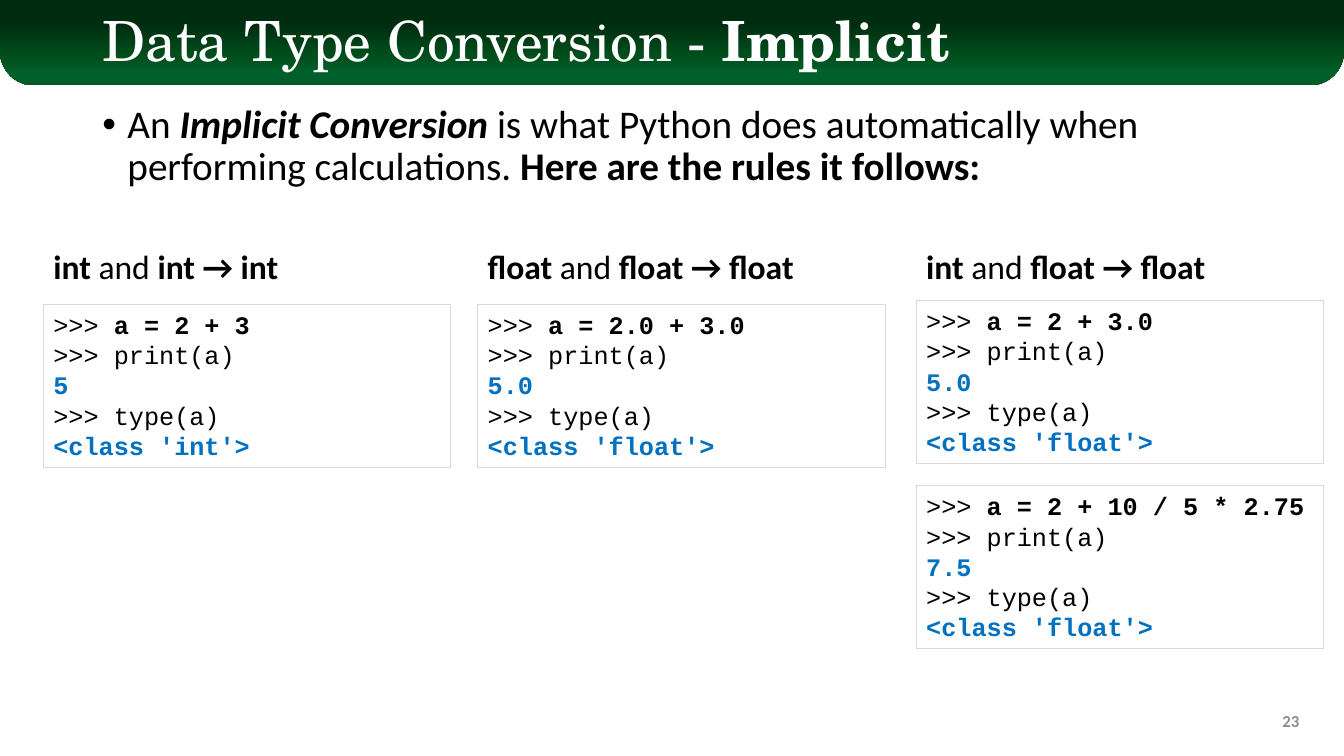
from lxml.etree import SubElement
from pptx import Presentation
from pptx.dml.color import RGBColor
from pptx.enum.shapes import MSO_SHAPE as Shape
from pptx.enum.text import MSO_ANCHOR as Anchor, MSO_AUTO_SIZE as AutoSize, PP_ALIGN as Align
from pptx.oxml.ns import qn
from pptx.util import Pt

COLORS = {"text": "000000", "title": "FFFFFF", "result": "0070C0", "border": "D9D9D9", "number": "8C8C8C"}
BANNER_STOPS = [(28, "002D10"), (68, "00501D"), (85, "00602B"), (100, "005C2B")]
TITLE_FONT, BODY_FONT, CODE_FONT = "TeX Gyre Schola", "Calibri", "Courier New"

TITLE = [("Data Type Conversion - ", ""), ("Implicit", "b")]
INTRO = [
    ("An ", ""),
    ("Implicit Conversion ", "bi"),
    ("is what Python does automatically when performing calculations. ", ""),
    ("Here are the rules it follows:", "b"),
]
PAGE_NUMBER = [("23", "b")]

RULES = [
    {"left": 31, "width": 178.6, "types": ("int", "int", "int"),
     "examples": [(217.4, "a = 2 + 3", "5")]},
    {"left": 341.3, "width": 237.6, "types": ("float", "float", "float"),
     "examples": [(217.4, "a = 2.0 + 3.0", "5.0")]},
    {"left": 654.5, "width": 218.2, "types": ("int", "float", "float"),
     "examples": [(214.6, "a = 2 + 3.0", "5.0"), (347, "a = 2 + 10 / 5 * 2.75", "7.5")]},
]
HEADING_TOP, HEADING_HEIGHT = 172, 36.4
CODE_WIDTH, CODE_HEIGHT = 291, 116.6


def add_runs(paragraph, runs, font, size, color):
    for text, style in runs:
        run = paragraph.add_run()
        run.text = text
        run.font.name, run.font.size = font, Pt(size)
        run.font.bold, run.font.italic = "b" in style, "i" in style
        run.font.color.rgb = RGBColor.from_string(COLORS["result" if "r" in style else color])


def add_text(slide, box, runs, font, size, color="text", anchor=Anchor.TOP, wrap=True):
    frame = slide.shapes.add_textbox(*map(Pt, box)).text_frame
    frame.word_wrap, frame.vertical_anchor = wrap, anchor
    add_runs(frame.paragraphs[0], runs, font, size, color)
    return frame.paragraphs[0]


def add_banner(slide, width):
    banner = slide.shapes.add_shape(Shape.ROUND_2_SAME_RECTANGLE, 0, 0, Pt(width), Pt(61))
    banner.shadow.inherit = False
    banner.adjustments[0], banner.adjustments[1] = 0, 0.4
    banner.line.fill.background()
    banner.fill.gradient()
    banner.fill.gradient_angle = 270
    stops = banner._element.spPr.find(qn("a:gradFill")).find(qn("a:gsLst"))
    for stop in list(stops):
        stops.remove(stop)
    for position, color in BANNER_STOPS:
        stop = SubElement(stops, qn("a:gs"), pos=str(position * 1000))
        SubElement(stop, qn("a:srgbClr"), val=color)


def add_code(slide, left, top, statement, result, result_type):
    box = slide.shapes.add_shape(Shape.RECTANGLE, *map(Pt, (left, top, CODE_WIDTH, CODE_HEIGHT)))
    box.shadow.inherit = False
    box.fill.background()
    box.line.color.rgb = RGBColor.from_string(COLORS["border"])
    box.line.width = Pt(0.75)
    frame = box.text_frame
    frame.word_wrap, frame.vertical_anchor = True, Anchor.TOP
    frame.auto_size = AutoSize.SHAPE_TO_FIT_TEXT
    lines = [
        [(">>> ", ""), (statement, "b")],
        [(">>> print(a)", "")],
        [(result, "br")],
        [(">>> type(a)", "")],
        [(f"<class '{result_type}'>", "br")],
    ]
    for index, runs in enumerate(lines):
        paragraph = frame.add_paragraph() if index else frame.paragraphs[0]
        paragraph.alignment = Align.LEFT
        add_runs(paragraph, runs, CODE_FONT, 18, "text")


def main():
    """Build the slide on implicit type conversion."""
    presentation = Presentation()
    presentation.slide_width, presentation.slide_height = Pt(960), Pt(540)
    slide = presentation.slides.add_slide(presentation.slide_layouts[6])

    add_banner(slide, 960)
    title = add_text(slide, (66, 9.4, 828, 44), TITLE, TITLE_FONT, 39.6, "title", Anchor.MIDDLE)
    title.line_spacing = 0.9

    intro = add_text(slide, (66, 71.3, 828, 72), INTRO, BODY_FONT, 28)
    properties = intro._p.get_or_add_pPr()
    properties.set("marL", str(Pt(18)))
    properties.set("indent", str(-Pt(18)))
    SubElement(properties, qn("a:buFont"), typeface="Arial")
    SubElement(properties, qn("a:buChar"), char="•")
    intro.line_spacing = 0.9

    number = add_text(slide, (719.3, 500.4, 216, 28.8), PAGE_NUMBER, BODY_FONT, 12, "number", Anchor.MIDDLE)
    number.alignment = Align.RIGHT

    for rule in RULES:
        first, second, result_type = rule["types"]
        heading = [(f"{first} ", "b"), ("and", ""), (f" {second} → {result_type}", "b")]
        box = (rule["left"], HEADING_TOP, rule["width"], HEADING_HEIGHT)
        add_text(slide, box, heading, BODY_FONT, 24, wrap=False)
        for top, statement, result in rule["examples"]:
            add_code(slide, rule["left"], top, statement, result, result_type)

    presentation.save("out.pptx")


if __name__ == "__main__":
    main()
